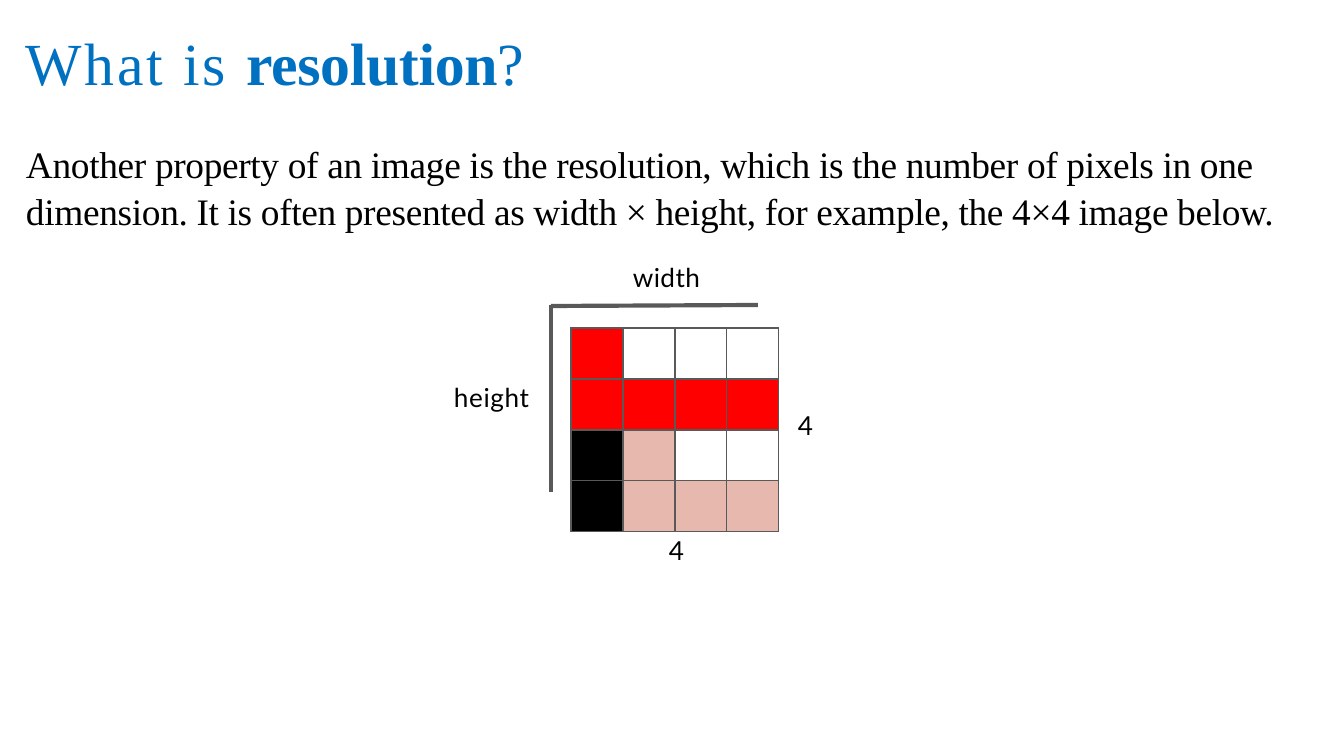
from lxml.etree import SubElement
from pptx import Presentation
from pptx.dml.color import RGBColor
from pptx.enum.shapes import MSO_CONNECTOR
from pptx.enum.text import MSO_ANCHOR, MSO_AUTO_SIZE, PP_ALIGN
from pptx.oxml import parse_xml
from pptx.oxml.ns import nsdecls, qn
from pptx.util import Pt

PX = 914400 / 134.4
SERIF = "Times New Roman"


def color(code):
    return RGBColor.from_string(code)


def write(shape, box, parts, size, face, ink):
    shape.left, shape.top, shape.width, shape.height = [round(n * PX) for n in box]
    frame = shape.text_frame
    frame.auto_size = MSO_AUTO_SIZE.NONE
    frame.word_wrap = True
    frame.vertical_anchor = MSO_ANCHOR.TOP
    frame.margin_left = frame.margin_right = frame.margin_bottom = 0
    frame.margin_top = round(2 * PX)
    para = frame.paragraphs[0]
    para.alignment = PP_ALIGN.LEFT
    para.space_before = Pt(0)
    para.font.size = Pt(size)
    para.font.name = face
    para.font.color.rgb = color(ink)
    for text, gap, bold in parts:
        run = para.add_run()
        run.text = text
        run.font.bold = bold
        run._r.get_or_add_rPr().set("spc", str(gap))
    return para


deck = Presentation()
deck.slide_width = round(1344 * PX)
deck.slide_height = round(756 * PX)
slide = deck.slides.add_slide(deck.slide_layouts[1])
shapes = slide.shapes

title = [("What is ", 140, False), ("resolution", -20, True), ("?", -20, False)]
write(shapes.title, (26, 24, 1266, 80), title, 32, SERIF, "0070C0")

story = (
    "Another property of an image is the resolution, which is the number of "
    "pixels in one dimension. It is often presented as width × height, "
    "for example, the 4×4 image below."
)
body = write(slide.placeholders[1], (26, 137, 1266, 110),
             [(story, -20, False)], 20, SERIF, "000000")
body.line_spacing = 1.05
props = body._p.get_or_add_pPr()
props.set("marL", "0")
props.set("indent", "0")
props.insert_element_before(parse_xml(f"<a:buNone {nsdecls('a')}/>"), "a:defRPr")

fills = {"R": "FF0000", "W": "FFFFFF", "K": "000000", "P": "E6B8AE"}
rows = ["RWWW", "RRRR", "KPWW", "KPPP"]
grid = shapes.add_table(4, 4, *[round(n * PX) for n in (571, 328, 208, 204)]).table
for r, row in enumerate(rows):
    grid.rows[r].height = round(51 * PX)
    for c, key in enumerate(row):
        grid.columns[c].width = round(52 * PX)
        cell = grid.cell(r, c)
        cell.margin_top = cell.margin_bottom = 0
        props = cell._tc.get_or_add_tcPr()
        for side in ("lnL", "lnR", "lnT", "lnB"):
            line = SubElement(props, qn(f"a:{side}"), w=str(Pt(0.74)))
            fill = SubElement(line, qn("a:solidFill"))
            SubElement(fill, qn("a:srgbClr"), val="595959")
        cell.fill.solid()
        cell.fill.fore_color.rgb = color(fills[key])

for ends in [(551, 306, 758, 305), (551, 305, 551, 492)]:
    rule = shapes.add_connector(MSO_CONNECTOR.STRAIGHT, *[round(n * PX) for n in ends])
    rule.line.color.rgb = color("595959")
    rule.line.width = Pt(2.24)
    SubElement(rule._element.spPr, qn("a:effectLst"))

labels = [
    ("4", 669, 532, 20, -30),
    ("4", 798, 407, 20, -30),
    ("width", 633, 259, 76, 20),
    ("height", 454, 379, 86, 30),
]
for text, left, top, wide, gap in labels:
    label = shapes.add_textbox(0, 0, 0, 0)
    write(label, (left, top, wide, 34), [(text, gap, False)], 14, "Lato", "000000")

deck.save("out.pptx")
